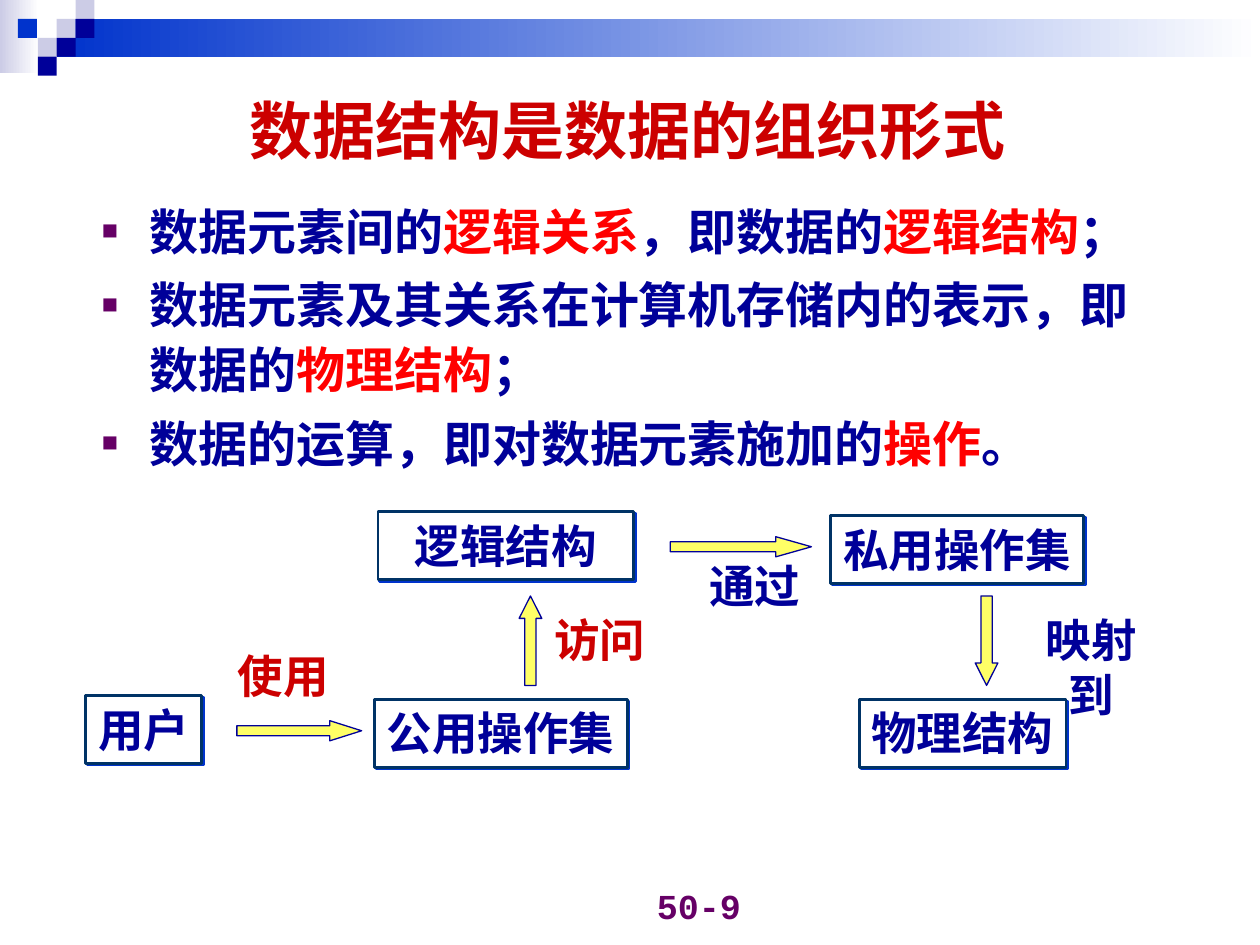
from dataclasses import dataclass

from lxml import etree
from pptx import Presentation
from pptx.dml.color import RGBColor
from pptx.enum.shapes import MSO_SHAPE
from pptx.enum.text import MSO_ANCHOR, PP_ALIGN
from pptx.oxml import parse_xml
from pptx.oxml.ns import qn
from pptx.util import Inches, Pt

RECT = MSO_SHAPE.RECTANGLE
RIGHT, UP, DOWN = MSO_SHAPE.RIGHT_ARROW, MSO_SHAPE.UP_ARROW, MSO_SHAPE.DOWN_ARROW
TOP, MID, BASE = MSO_ANCHOR.TOP, MSO_ANCHOR.MIDDLE, MSO_ANCHOR.BOTTOM
LEFT, CENTER, END = PP_ALIGN.LEFT, PP_ALIGN.CENTER, PP_ALIGN.RIGHT
COLS, ROWS = 100, 75
UNIT = Inches(10) / COLS


@dataclass(frozen=True)
class Theme:
    font: str = "Arial"
    mono: str = "Courier New"
    white: str = "FFFFFF"
    pale: str = "CCCCE6"
    blue: str = "0033CC"
    navy: str = "000099"
    edge: str = "003366"
    plum: str = "660066"
    brick: str = "CC0000"
    red: str = "FF0000"
    lemon: str = "FFFF66"
    head: int = 36
    body: int = 28
    label: int = 26
    page: int = 20


T = Theme()


def rgb(code):
    return RGBColor.from_string(code)


def place(box, x, y, w, h):
    """Turn grid offsets inside a box into slide lengths."""
    return [round(n * UNIT) for n in (box[0] + x, box[1] + y, w, h)]


def write(shape, lines, size, color=T.navy, font=T.font, align=LEFT,
          anchor=TOP, wrap=True, style=None):
    """Fill a shape with paragraphs, each a list of (text, colour or None)."""
    frame = shape.text_frame
    frame.word_wrap = wrap
    frame.vertical_anchor = anchor
    for i, runs in enumerate(lines):
        para = frame.add_paragraph() if i else frame.paragraphs[0]
        para.alignment = align
        if style:
            style(para, i)
        for text, tint in runs:
            run = para.add_run()
            run.text = text
            run.font.name, run.font.size, run.font.bold = font, Pt(size), True
            run.font.color.rgb = rgb(tint or color)


def text(slide, area, lines, size, **form):
    write(slide.shapes.add_textbox(*area), lines, size, **form)


def block(slide, kind, area, fill, line=None, width=1):
    """Add a shape; a pair of fill colours makes a gradient."""
    shape = slide.shapes.add_shape(kind, *area)
    shape.shadow.inherit = False
    if isinstance(fill, tuple):
        shape.fill.gradient()
        shape.fill.gradient_angle = 0
        for stop, code in zip(shape.fill.gradient_stops, fill):
            stop.color.rgb = rgb(code)
    else:
        shape.fill.solid()
        shape.fill.fore_color.rgb = rgb(fill)
    if line:
        shape.line.color.rgb = rgb(line)
        shape.line.width = Pt(width)
    else:
        shape.line.fill.background()
    return shape


def shade(shape):
    """Give a shape a hard shadow, down and to the right."""
    effects = shape._element.spPr.find(qn("a:effectLst"))
    effects.append(parse_xml(
        '<a:outerShdw xmlns:a="http://schemas.openxmlformats.org/drawingml/2006/main"'
        f' dist="{Pt(1.4)}" dir="2700000" algn="ctr" rotWithShape="0">'
        f'<a:srgbClr val="{T.blue}"/></a:outerShdw>'))


def bullet(para, i):
    para.line_spacing = 1.1
    if i:
        para.space_before = Pt(5.2)
    props = para._p.get_or_add_pPr()
    props.set("marL", str(Inches(0.38)))
    props.set("indent", str(-Inches(0.38)))
    tint = etree.SubElement(props, qn("a:buClr"))
    etree.SubElement(tint, qn("a:srgbClr"), val=T.plum)
    etree.SubElement(props, qn("a:buSzPct"), val="55000")
    etree.SubElement(props, qn("a:buFont"), typeface=T.font)
    etree.SubElement(props, qn("a:buChar"), char="■")


def banner(slide, box):
    step = 1.5
    block(slide, RECT, place(box, 0, 0, 3.1, 5.8), (T.pale, T.white))
    block(slide, RECT, place(box, 3 * step, step, COLS - 3 * step, 2 * step),
          (T.blue, T.white))
    tiles = [(3, 1, T.pale), (4, 0, T.pale), (4, 1, T.navy), (2, 2, T.pale),
             (0.95, 1, T.blue), (3, 2, T.navy), (2, 3, T.navy)]
    for col, row, fill in tiles:
        block(slide, RECT, place(box, col * step, row * step, step, step), fill)


def title(slide, box):
    text(slide, place(box, 0, 0, 84.6, 9.4), [[("数据结构是数据的组织形式", None)]],
         T.head, color=T.brick, align=CENTER, anchor=MID)


def points(slide, box):
    lines = [
        [("数据元素间的", None), ("逻辑关系", T.red), ("，即数据的", None),
         ("逻辑结构", T.red), ("；", None)],
        [("数据元素及其关系在计算机存储内的表示，即数据的", None),
         ("物理结构", T.red), ("；", None)],
        [("数据的运算，即对数据元素施加的", None), ("操作", T.red), ("。", None)],
    ]
    text(slide, place(box, 0, 0, 87, 25.2), lines, T.body, style=bullet)


def flow(slide, box):
    tall = 5.4
    nodes = [("逻辑结构", 23.2, 0, 20.3), ("用户", 0, 14.6, 9.2),
             ("物理结构", 61.4, 14.9, 16.4), ("公用操作集", 22.9, 14.9, 20.1),
             ("私用操作集", 59.1, 0.3, 20.1)]
    for name, x, y, w in nodes:
        node = block(slide, RECT, place(box, x, y, w, tall), T.white, T.edge, 1.5)
        shade(node)
        write(node, [[(name, None)]], T.label, align=CENTER, anchor=TOP, wrap=False)
    arrows = [(RIGHT, 12, 16.6, 9.9, 1.6, 1.58), (RIGHT, 46.4, 2, 11.2, 1.6, 1.77),
              (UP, 34.4, 6.7, 1.8, 7.1, 0.99), (DOWN, 70.6, 6.7, 1.8, 7.1, 0.99)]
    for kind, x, y, w, h, tip in arrows:
        arrow = block(slide, kind, place(box, x, y, w, h), T.lemon, T.navy, 0.75)
        arrow.adjustments[0], arrow.adjustments[1] = 0.5, tip
    labels = [("访问", 36.2, 7.5, 9.2, T.brick), ("使用", 11.1, 10.3, 9.2, T.brick),
              ("通过", 46.4, 3.2, 13.4, T.navy), ("映射到", 73.4, 7.5, 12.8, T.navy)]
    for name, x, y, w, tint in labels:
        text(slide, place(box, x, y, w, tall), [[(name, tint)]], T.label,
             align=CENTER, wrap=False)


def footer(slide, box):
    text(slide, place(box, 0, 0, 23.3, 5), [[("50-9", None)]], T.page,
         color=T.plum, font=T.mono, align=END, anchor=BASE)


def main():
    deck = Presentation()
    deck.slide_width, deck.slide_height = round(COLS * UNIT), round(ROWS * UNIT)
    slide = deck.slides.add_slide(deck.slide_layouts[6])
    banner(slide, (0, 0))
    footer(slide, (36.5, 69))
    title(slide, (7.5, 5.6))
    points(slide, (7.1, 15))
    flow(slide, (6.8, 40.6))
    deck.save("out.pptx")


if __name__ == "__main__":
    main()
